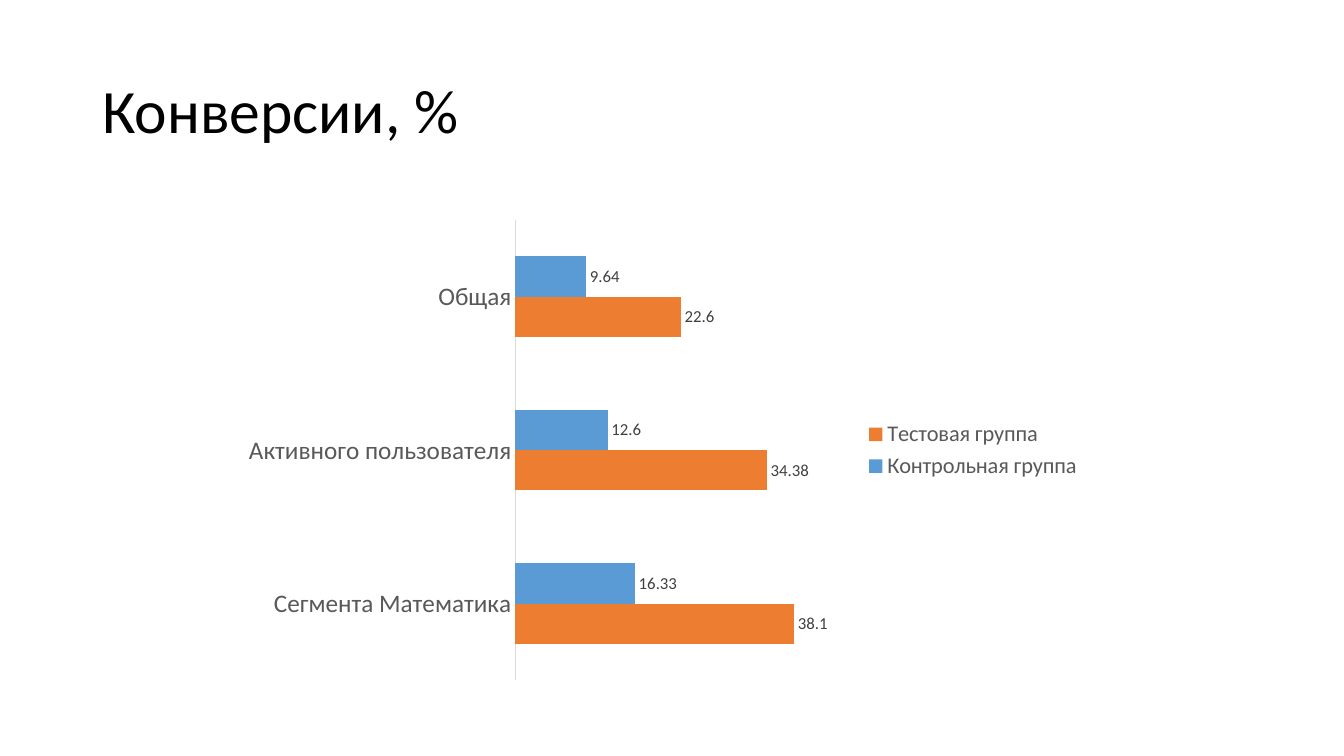
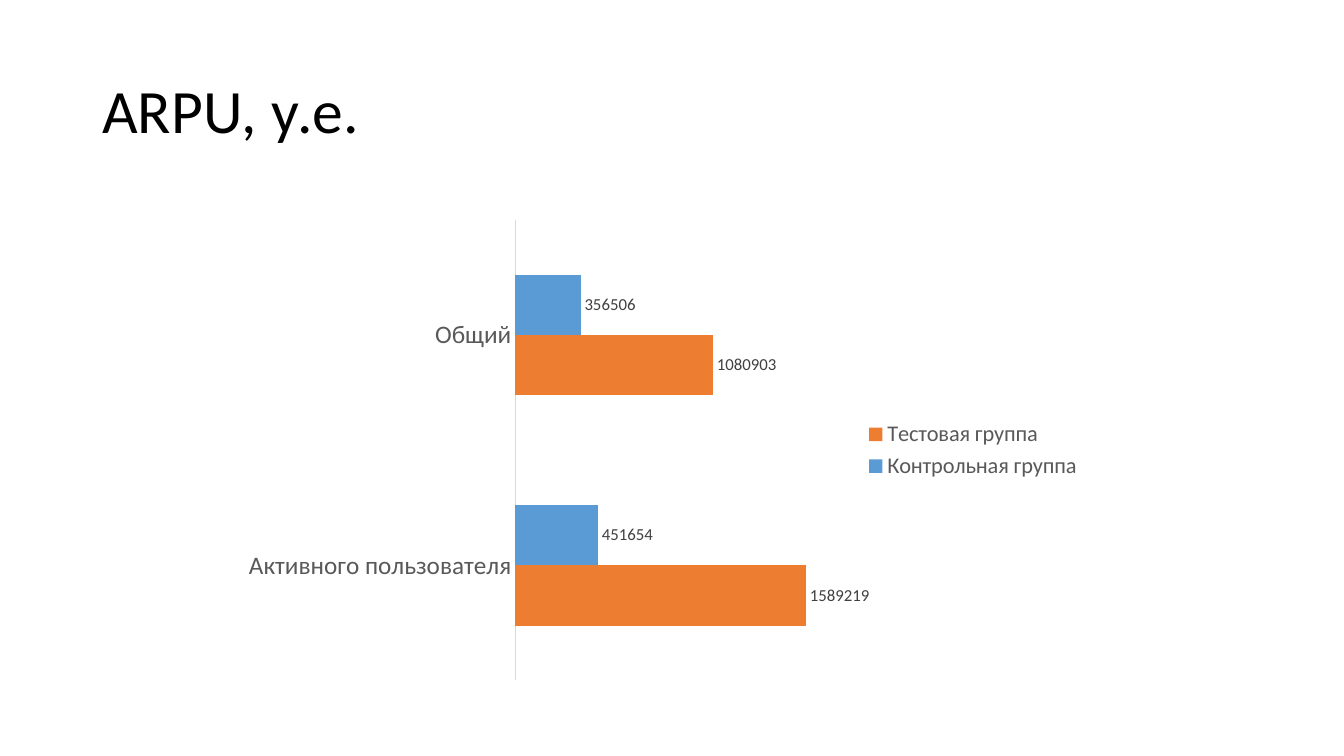
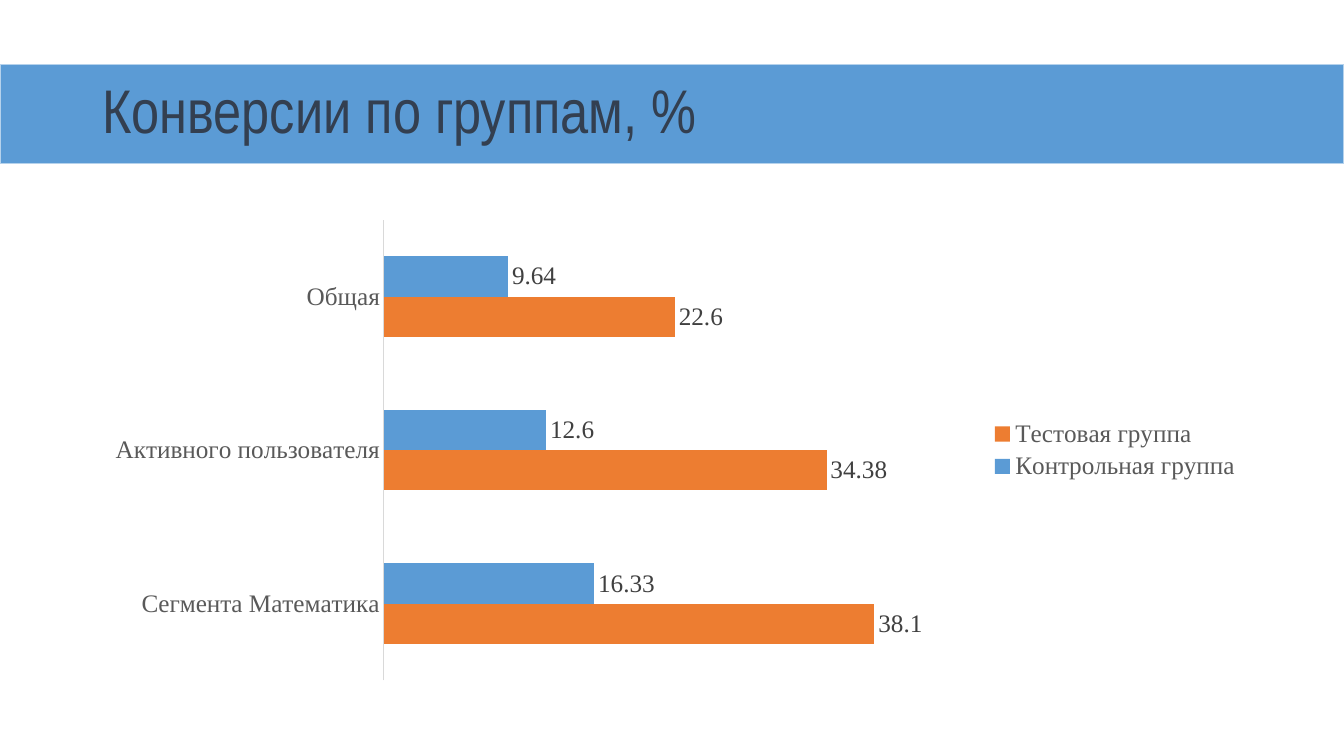
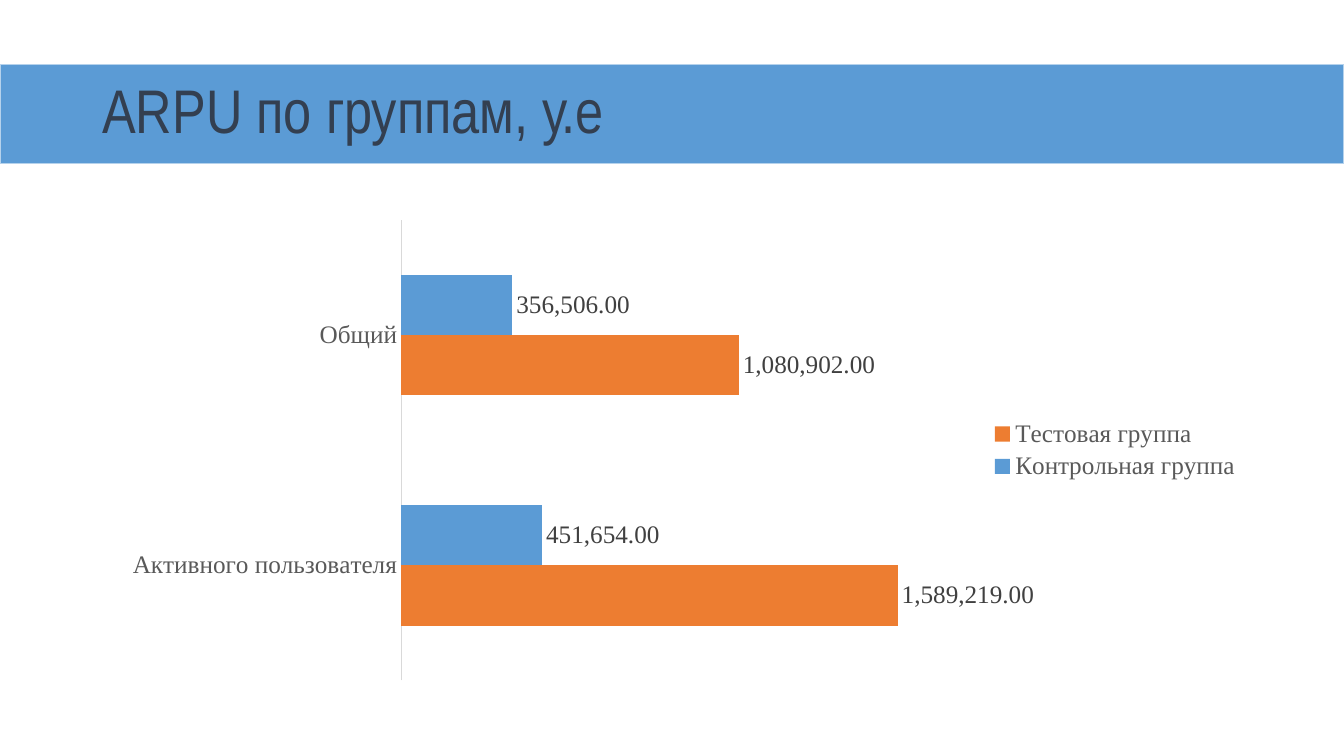
from pptx import Presentation
from pptx import util as u
from pptx.chart import data
from pptx.dml import color
from pptx.enum import chart as ch
from pptx.enum import shapes, text

BLACK = color.RGBColor(0x00, 0x00, 0x00)
NAVY = color.RGBColor(0x33, 0x3F, 0x50)
BLUE = color.RGBColor(0x5B, 0x9B, 0xD5)
PALE_BLUE = color.RGBColor(0xB5, 0xD2, 0xEC)
ORANGE = color.RGBColor(0xED, 0x7D, 0x31)
AXIS_GREY = color.RGBColor(0xD9, 0xD9, 0xD9)
TEXT_GREY = color.RGBColor(0x59, 0x59, 0x59)
LABEL_GREY = color.RGBColor(0x40, 0x40, 0x40)

SANS, NARROW, SERIF = "Calibri", "Arial Narrow", "Times New Roman"
SLIDE_WIDTH, SLIDE_HEIGHT = u.Cm(33.87), u.Cm(19.05)
MARGIN = u.Cm(2.33)
CHART_TOP, CHART_HEIGHT = u.Cm(5.3), u.Cm(12.09)

CONTROL, TEST = "Контрольная группа", "Тестовая группа"
GROUP_COLORS = {CONTROL: BLUE, TEST: ORANGE}
CONVERSION_CATEGORIES = ["Общая", "Активного пользователя", "Сегмента Математика"]
CONVERSIONS = {CONTROL: [9.64, 12.6, 16.33], TEST: [22.6, 34.38, 38.1]}
ARPU_CATEGORIES = ["Общий", "Активного пользователя"]
ARPU_CONTROL = [356506, 451654]


def style_font(font, name, size, rgb):
    font.name = name
    font.size = u.Pt(size)
    font.color.rgb = rgb


def add_band(slide):
    band = slide.shapes.add_shape(
        shapes.MSO_SHAPE.RECTANGLE, 0, u.Cm(1.63), SLIDE_WIDTH, u.Cm(2.49))
    band.shadow.inherit = False
    band.fill.solid()
    band.fill.fore_color.rgb = BLUE
    band.line.color.rgb = PALE_BLUE
    band.line.width = u.Pt(1)


def add_title(slide, wording, font_name, rgb):
    title = slide.shapes.add_textbox(
        MARGIN, u.Cm(1.01), SLIDE_WIDTH - 2 * MARGIN, u.Cm(3.68))
    frame = title.text_frame
    frame.word_wrap = True
    frame.vertical_anchor = text.MSO_ANCHOR.MIDDLE
    paragraph = frame.paragraphs[0]
    paragraph.line_spacing = 0.9
    run = paragraph.add_run()
    run.text = wording
    style_font(run.font, font_name, 44, rgb)


def style_series(series, font_name, label_size, number_format):
    series.format.fill.solid()
    series.format.fill.fore_color.rgb = GROUP_COLORS[series.name]
    labels = series.data_labels
    labels.show_value = True
    labels.position = ch.XL_LABEL_POSITION.OUTSIDE_END
    labels.number_format = number_format
    labels.number_format_is_linked = False
    style_font(labels.font, font_name, label_size, LABEL_GREY)


def style_axes(chart, font_name):
    groups = chart.category_axis
    groups.reverse_order = True
    groups.major_tick_mark = ch.XL_TICK_MARK.NONE
    groups.format.line.color.rgb = AXIS_GREY
    groups.format.line.width = u.Pt(0.75)
    style_font(groups.tick_labels.font, font_name, 18, TEXT_GREY)
    values = chart.value_axis
    values.has_major_gridlines = False
    values.minimum_scale = 0
    values.visible = False


def add_bars(slide, left, width, categories, groups, font_name,
             base_size, label_size, legend_size, number_format="General"):
    chart_data = data.CategoryChartData()
    chart_data.categories = categories
    for name, values in groups.items():
        chart_data.add_series(name, values)
    chart = slide.shapes.add_chart(
        ch.XL_CHART_TYPE.BAR_CLUSTERED, left, CHART_TOP, width, CHART_HEIGHT,
        chart_data).chart
    chart.has_title = False
    style_font(chart.font, font_name, base_size, BLACK)
    style_axes(chart, font_name)
    plot = chart.plots[0]
    plot.gap_width = 182
    plot.vary_by_categories = False
    for series in plot.series:
        style_series(series, font_name, label_size, number_format)
    chart.has_legend = True
    chart.legend.position = ch.XL_LEGEND_POSITION.RIGHT
    chart.legend.include_in_layout = False
    style_font(chart.legend.font, font_name, legend_size, TEXT_GREY)


def add_plain_slide(deck, title, categories, groups):
    slide = deck.slides.add_slide(deck.slide_layouts[6])
    add_title(slide, title, SANS, BLACK)
    add_bars(slide, u.Cm(5.84), u.Cm(21.69), categories, groups, SANS, 10, 12, 16)


def add_banded_slide(deck, title, left, categories, groups, number_format="General"):
    slide = deck.slides.add_slide(deck.slide_layouts[6])
    add_band(slide)
    add_title(slide, title, NARROW, NAVY)
    add_bars(slide, left, SLIDE_WIDTH - MARGIN - left, categories, groups,
             SERIF, 18, 18, 18, number_format)


def main():
    deck = Presentation()
    deck.slide_width, deck.slide_height = SLIDE_WIDTH, SLIDE_HEIGHT
    add_plain_slide(deck, "Конверсии, %", CONVERSION_CATEGORIES, CONVERSIONS)
    add_plain_slide(deck, "ARPU, у.е.", ARPU_CATEGORIES,
                    {CONTROL: ARPU_CONTROL, TEST: [1080903, 1589219]})
    add_banded_slide(deck, "Конверсии по группам, %", MARGIN,
                     CONVERSION_CATEGORIES, CONVERSIONS)
    add_banded_slide(deck, "ARPU по группам, у.е", u.Cm(2.77), ARPU_CATEGORIES,
                     {CONTROL: ARPU_CONTROL, TEST: [1080902, 1589219]}, "#,##0.00")
    deck.save("out.pptx")


if __name__ == "__main__":
    main()
